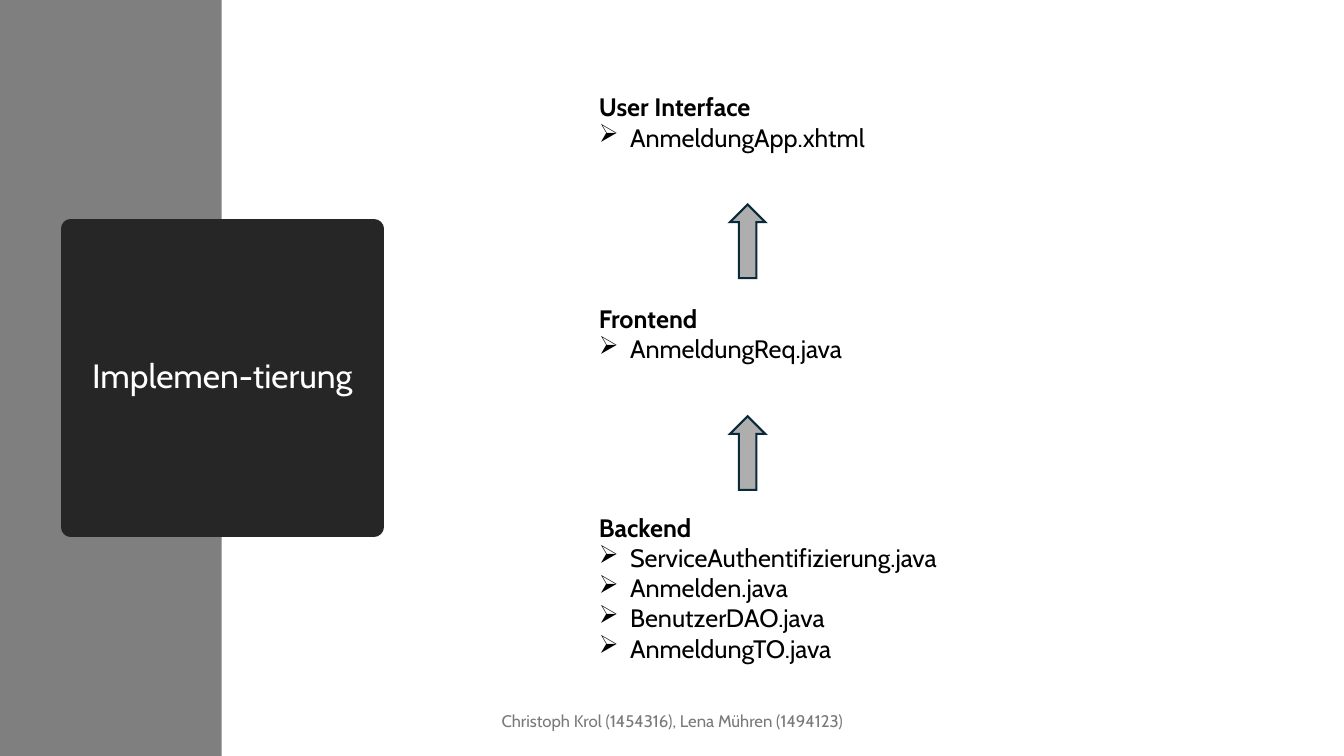
"""Build the slide that shows the implementation layers from backend to user interface."""
from dataclasses import dataclass

from lxml.etree import SubElement
from pptx import Presentation
from pptx.dml.color import RGBColor
from pptx.enum.shapes import MSO_SHAPE
from pptx.enum.text import MSO_ANCHOR, PP_ALIGN
from pptx.oxml.ns import qn
from pptx.util import Inches, Pt

TITLE = "Implemen-tierung"
AUTHORS = "Christoph Krol (1454316), Lena Mühren (1494123)"
LAYERS = [
    {"name": "User Interface", "top": 0.86, "width": 3.29,
     "files": ["AnmeldungApp.xhtml"]},
    {"name": "Frontend", "top": 2.96, "width": 2.79,
     "files": ["AnmeldungReq.java"]},
    {"name": "Backend", "top": 5.03, "width": 3.68,
     "files": ["ServiceAuthentifizierung.java", "Anmelden.java",
               "BenutzerDAO.java", "AnmeldungTO.java"]},
]
LAYER_LEFT = 5.84
LINE_HEIGHT = 0.3
TEXT_INSET = 0.05
BULLET_INDENT = 0.31
ARROW_LEFT, ARROW_TOP, ARROW_STEP = 7.24, 2.03, 2.1
ARROW_SIZE = (0.35, 0.73)


@dataclass(frozen=True)
class Theme:
    """Colours, font and type sizes."""
    font: str = "Cabin"
    band: str = "7F7F7F"
    tile: str = "262626"
    title: str = "FFFFFF"
    body: str = "000000"
    arrow: str = "AEAEAE"
    arrow_edge: str = "092A39"
    footer: str = "797979"
    title_size: int = 24
    body_size: int = 18
    footer_size: int = 12


THEME = Theme()


def add_block(slide, preset, box, fill, edge=None, edge_width=0, join="round"):
    """Add a filled preset shape with an optional outline."""
    block = slide.shapes.add_shape(preset, *map(Inches, box))
    block.shadow.inherit = False
    block.fill.solid()
    block.fill.fore_color.rgb = RGBColor.from_string(fill)
    if edge:
        block.line.color.rgb = RGBColor.from_string(edge)
        block.line.width = Pt(edge_width)
        SubElement(block.line._get_or_add_ln(), qn(f"a:{join}"))
    else:
        block.line.fill.background()
    return block


def write(paragraph, text, size, color, bold=False, align=PP_ALIGN.LEFT):
    """Fill a paragraph with one formatted run."""
    paragraph.text = text
    paragraph.alignment = align
    font = paragraph.runs[0].font
    font.name, font.size, font.bold = THEME.font, Pt(size), bold
    font.color.rgb = RGBColor.from_string(color)


def add_bullet(paragraph):
    """Give a paragraph an arrowhead bullet with a hanging indent."""
    properties = paragraph._p.get_or_add_pPr()
    properties.set("marL", str(Inches(BULLET_INDENT)))
    properties.set("indent", str(-Inches(BULLET_INDENT)))
    SubElement(properties, qn("a:buChar"), char="➢")


def add_layer(slide, layer):
    """Add a layer heading followed by its list of files."""
    height = LINE_HEIGHT * (1 + len(layer["files"])) + 2 * TEXT_INSET
    box = (LAYER_LEFT, layer["top"], layer["width"], height)
    frame = slide.shapes.add_textbox(*map(Inches, box)).text_frame
    frame.word_wrap = True
    write(frame.paragraphs[0], layer["name"], THEME.body_size, THEME.body, bold=True)
    for file in layer["files"]:
        entry = frame.add_paragraph()
        write(entry, file, THEME.body_size, THEME.body)
        add_bullet(entry)


def main():
    """Compose and save the slide."""
    deck = Presentation()
    deck.slide_width, deck.slide_height = Inches(13.33), Inches(7.5)
    slide = deck.slides.add_slide(deck.slide_layouts[6])

    add_block(slide, MSO_SHAPE.RECTANGLE, (0, 0, 2.2, 7.5), THEME.band)
    tile = add_block(slide, MSO_SHAPE.RECTANGLE, (0.7, 2.27, 3.01, 2.96),
                     THEME.tile, THEME.tile, 13.75)
    tile.text_frame.word_wrap = True
    tile.text_frame.vertical_anchor = MSO_ANCHOR.MIDDLE
    heading = tile.text_frame.paragraphs[0]
    write(heading, TITLE, THEME.title_size, THEME.title, align=PP_ALIGN.CENTER)
    heading.line_spacing = 0.9

    for layer in LAYERS:
        add_layer(slide, layer)
    for gap in range(len(LAYERS) - 1):
        add_block(slide, MSO_SHAPE.UP_ARROW,
                  (ARROW_LEFT, ARROW_TOP + gap * ARROW_STEP, *ARROW_SIZE),
                  THEME.arrow, THEME.arrow_edge, 1.5, "miter")

    footer = slide.shapes.add_textbox(*map(Inches, (4.42, 6.95, 4.5, 0.4))).text_frame
    footer.word_wrap = True
    footer.vertical_anchor = MSO_ANCHOR.MIDDLE
    write(footer.paragraphs[0], AUTHORS, THEME.footer_size, THEME.footer,
          align=PP_ALIGN.CENTER)

    deck.save("out.pptx")


if __name__ == "__main__":
    main()
